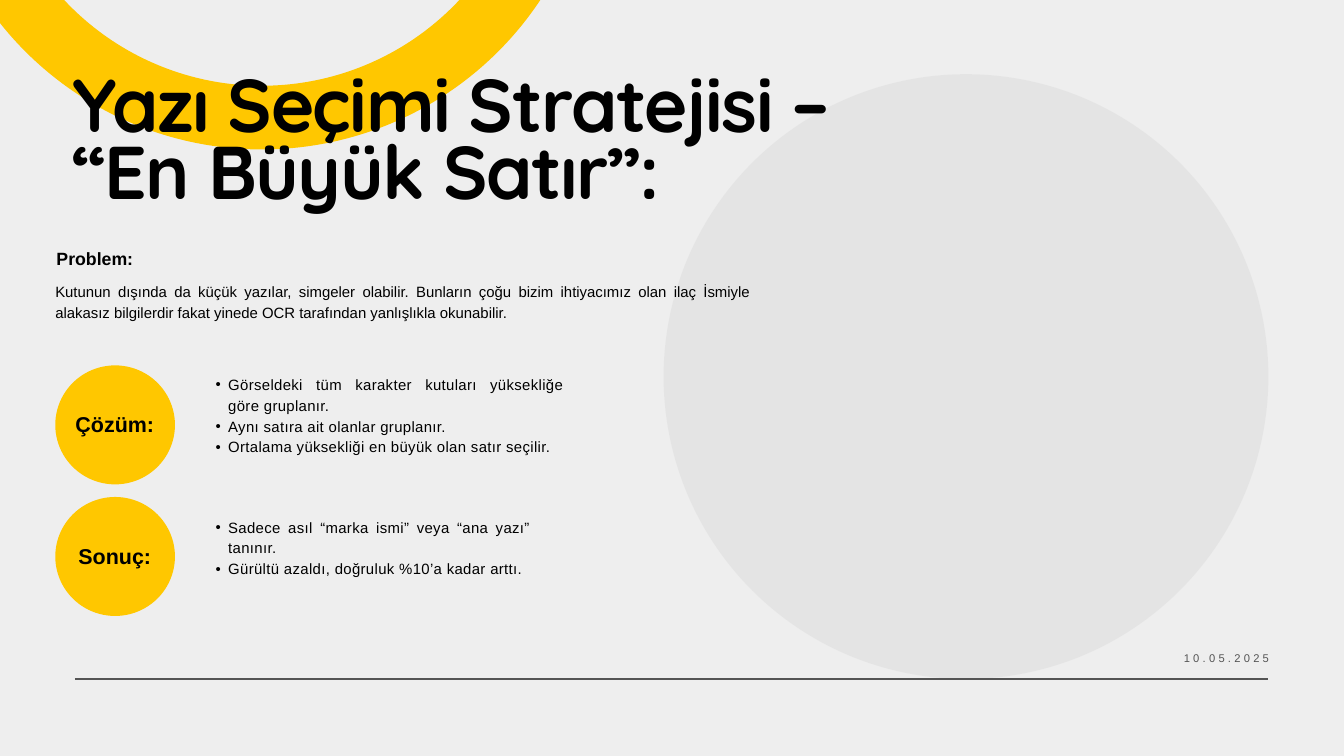
from lxml.etree import SubElement
from pptx import Presentation
from pptx.dml.color import RGBColor
from pptx.enum.shapes import MSO_CONNECTOR, MSO_SHAPE
from pptx.enum.text import MSO_ANCHOR, PP_ALIGN
from pptx.oxml.ns import qn
from pptx.util import Emu, Pt

BACKGROUND = RGBColor(0xEE, 0xEE, 0xEE)
YELLOW = RGBColor(0xFF, 0xC7, 0x00)
LIGHT_GRAY = RGBColor(0xD9, 0xD9, 0xD9)
DARK_GRAY = RGBColor(0x54, 0x54, 0x54)
BLACK = RGBColor(0x00, 0x00, 0x00)

# Content
TITLE = "Yazı Seçimi Stratejisi – “En Büyük Satır”:"
PROBLEM_HEADING = "Problem:"
PROBLEM = (
    "Kutunun dışında da küçük yazılar, simgeler olabilir. Bunların çoğu bizim "
    "ihtiyacımız olan ilaç İsmiyle alakasız bilgilerdir fakat yinede OCR "
    "tarafından yanlışlıkla okunabilir."
)
DATE = "10.05.2025"
SECTIONS = [
    # label, circle top, bullet box (left, top, width, height), bullets
    ("Çözüm:", 522, (290, 532, 516, 174), [
        "Görseldeki tüm karakter kutuları yüksekliğe göre gruplanır.",
        "Aynı satıra ait olanlar gruplanır.",
        "Ortalama yüksekliği en büyük olan satır seçilir.",
    ]),
    ("Sonuç:", 710, (290, 736, 468, 145), [
        "Sadece asıl “marka ismi” veya “ana yazı” tanınır.",
        "Gürültü azaldı, doğruluk %10’a kadar arttı.",
    ]),
]

# Layout in px, 96 to the inch
MARGIN = 79
CIRCLE_WIDTH, CIRCLE_HEIGHT = 171, 170
RING_SIZE = 864
BULLET_INDENT = 18


def px(value):
    return Emu(value * 9525)


def add_text(slide, box, text, size, spacing, font="Arial", color=BLACK,
             bold=False, align=PP_ALIGN.LEFT, tracking=0, inset=0,
             anchor=MSO_ANCHOR.TOP, bullets=False):
    frame = slide.shapes.add_textbox(*map(px, box)).text_frame
    frame.word_wrap = True
    frame.vertical_anchor = anchor
    frame.margin_left = frame.margin_right = px(inset)
    frame.margin_top = frame.margin_bottom = px(inset)
    lines = text if bullets else [text]
    for index, line in enumerate(lines):
        paragraph = frame.paragraphs[0] if index == 0 else frame.add_paragraph()
        paragraph.alignment = align
        paragraph.line_spacing = Pt(spacing)
        if bullets:
            paragraph.level = 1
            properties = paragraph._p.get_or_add_pPr()
            properties.set("marL", str(px(2 * BULLET_INDENT)))
            properties.set("indent", str(-px(BULLET_INDENT)))
            SubElement(properties, qn("a:buFont"), typeface="Arial")
            SubElement(properties, qn("a:buChar"), char="•")
        run = paragraph.add_run()
        run.text = line
        run.font.name = font
        run.font.size = Pt(size)
        run.font.bold = bold
        run.font.color.rgb = color
        if tracking:
            run._r.get_or_add_rPr().set("spc", str(round(tracking * 100)))


def add_circle(slide, box, fill=None, opacity=100, line=None, line_width=0):
    circle = slide.shapes.add_shape(MSO_SHAPE.OVAL, *map(px, box))
    circle.shadow.inherit = False
    if fill is None:
        circle.fill.background()
    else:
        circle.fill.solid()
        circle.fill.fore_color.rgb = fill
        if opacity < 100:
            color = circle._element.spPr.find(".//" + qn("a:srgbClr"))
            SubElement(color, qn("a:alpha"), val=str(opacity * 1000))
    if line is None:
        circle.line.fill.background()
    else:
        circle.line.color.rgb = line
        circle.line.width = Pt(line_width)


def main():
    presentation = Presentation()
    presentation.slide_width, presentation.slide_height = px(1920), px(1080)
    slide = presentation.slides.add_slide(presentation.slide_layouts[6])
    slide.background.fill.solid()
    slide.background.fill.fore_color.rgb = BACKGROUND

    # Decorative ring and disc
    add_circle(slide, (-58, -696, RING_SIZE, RING_SIZE), line=YELLOW, line_width=68.25)
    add_circle(slide, (948, 106, RING_SIZE, RING_SIZE), fill=LIGHT_GRAY, opacity=43)

    # Footer rule and date
    rule = slide.shapes.add_connector(
        MSO_CONNECTOR.STRAIGHT, px(107), px(970), px(1812), px(970))
    rule.line.color.rgb = DARK_GRAY
    rule.line.width = Pt(3)
    SubElement(rule._element.spPr, qn("a:effectLst"))
    add_text(slide, (1448, 927, 365, 22), DATE, 12, 16.8, color=DARK_GRAY,
             align=PP_ALIGN.RIGHT, tracking=3.5)

    # Title and problem
    add_text(slide, (103, 115, 1196, 217), TITLE, 80, 72, font="Quicksand",
             bold=True, tracking=-1.6)
    add_text(slide, (MARGIN, 349, 113, 35), PROBLEM_HEADING, 19, 26.6,
             bold=True, align=PP_ALIGN.CENTER)
    add_text(slide, (MARGIN, 399, 993, 58), PROBLEM, 16, 22.4,
             align=PP_ALIGN.JUSTIFY)

    # Labelled circles with bullets
    for label, top, bullet_box, bullets in SECTIONS:
        add_circle(slide, (MARGIN, top, CIRCLE_WIDTH, CIRCLE_HEIGHT), fill=YELLOW)
        add_text(slide, (MARGIN + 16, top + 7, 138, 147), label, 23, 32.2, bold=True,
                 align=PP_ALIGN.CENTER, inset=6, anchor=MSO_ANCHOR.MIDDLE)
        add_text(slide, bullet_box, bullets, 16, 22.4, align=PP_ALIGN.JUSTIFY,
                 tracking=0.4, bullets=True)

    presentation.save("out.pptx")


if __name__ == "__main__":
    main()
